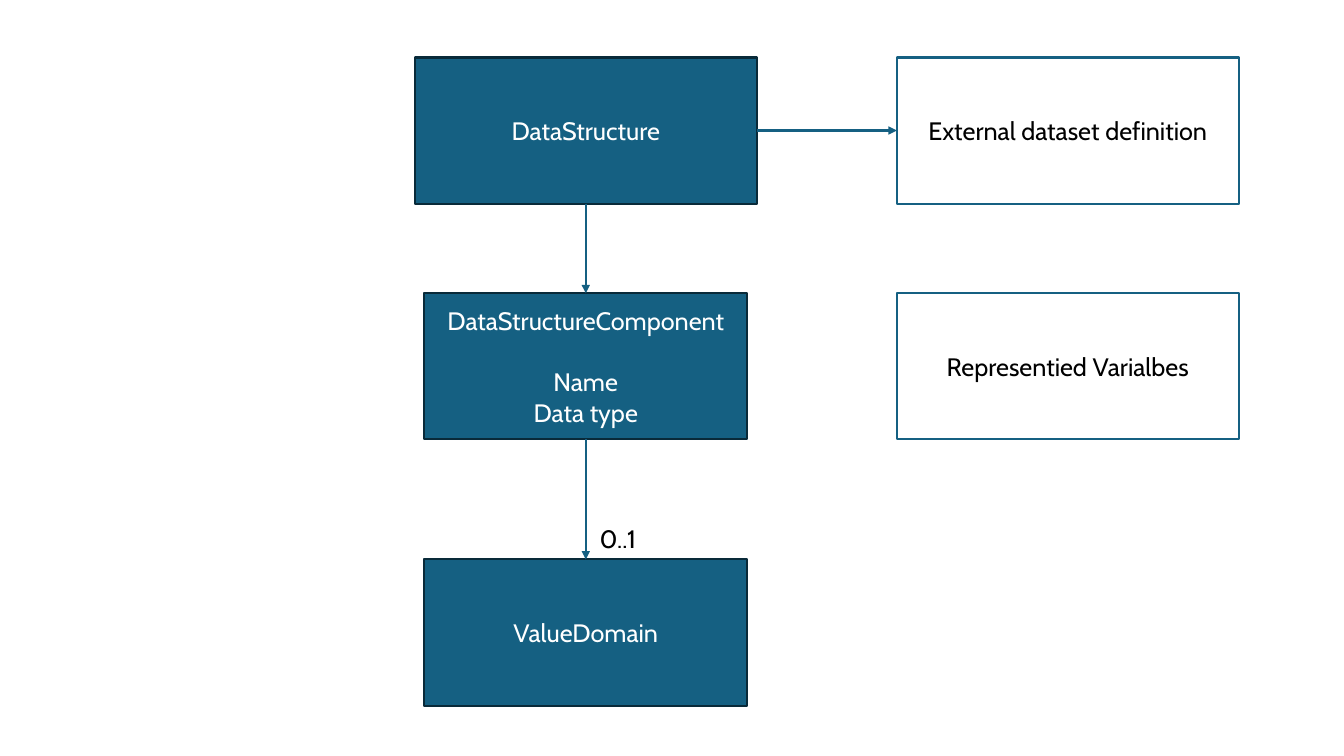
from dataclasses import dataclass

from lxml import etree
from pptx import Presentation
from pptx.dml.color import RGBColor
from pptx.enum.shapes import MSO_CONNECTOR, MSO_SHAPE
from pptx.enum.text import MSO_ANCHOR, MSO_AUTO_SIZE, PP_ALIGN
from pptx.oxml.ns import qn
from pptx.shapes.autoshape import Shape
from pptx.slide import Slide
from pptx.text.text import _Paragraph
from pptx.util import Inches, Pt

RECTANGLE = MSO_SHAPE.RECTANGLE
STRAIGHT = MSO_CONNECTOR.STRAIGHT
MIDDLE = MSO_ANCHOR.MIDDLE
FIT_SHAPE = MSO_AUTO_SIZE.SHAPE_TO_FIT_TEXT
LEFT, CENTER = PP_ALIGN.LEFT, PP_ALIGN.CENTER

TEAL, NAVY, WHITE, BLACK = "156082", "092A39", "FFFFFF", "000000"
FONT_FORMAT = {"name": "Cabin", "size": Pt(18)}
LINE_WIDTH = Pt(1.5)
BOX_HEIGHT = 1.45
MODEL_CENTER, SOURCE_CENTER = 5.81, 10.59
TOP_ROW, MIDDLE_ROW, BOTTOM_ROW = 0.57, 2.91, 5.55
TOP_SIDE, LEFT_SIDE, BOTTOM_SIDE, RIGHT_SIDE = range(4)


@dataclass(frozen=True)
class Style:
    fill: str
    line: str
    text: str


@dataclass(frozen=True)
class Box:
    heading: str
    center: float
    top: float
    width: float
    style: Style
    details: tuple[str, ...] = ()


@dataclass(frozen=True)
class Arrow:
    source: str
    source_side: int
    target: str
    target_side: int


MODEL = Style(TEAL, NAVY, WHITE)
SOURCE = Style(WHITE, TEAL, BLACK)

BOXES = (
    Box("DataStructure", MODEL_CENTER, TOP_ROW, 3.39, MODEL),
    Box("DataStructureComponent", MODEL_CENTER, MIDDLE_ROW, 3.2, MODEL, ("Name", "Data type")),
    Box("ValueDomain", MODEL_CENTER, BOTTOM_ROW, 3.2, MODEL),
    Box("External dataset definition", SOURCE_CENTER, TOP_ROW, 3.39, SOURCE),
    Box("Representied Varialbes", SOURCE_CENTER, MIDDLE_ROW, 3.39, SOURCE),
)

ARROWS = (
    Arrow("DataStructure", BOTTOM_SIDE, "DataStructureComponent", TOP_SIDE),
    Arrow("DataStructureComponent", BOTTOM_SIDE, "ValueDomain", TOP_SIDE),
    Arrow("DataStructure", RIGHT_SIDE, "External dataset definition", LEFT_SIDE),
)


def rgb(value: str) -> RGBColor:
    return RGBColor.from_string(value)


def write(paragraph: _Paragraph, text: str, color: str, alignment: PP_ALIGN) -> None:
    paragraph.alignment = alignment
    run = paragraph.add_run()
    run.text = text
    for attribute, value in FONT_FORMAT.items():
        setattr(run.font, attribute, value)
    run.font.color.rgb = rgb(color)


def draw_box(slide: Slide, box: Box) -> Shape:
    shape = slide.shapes.add_shape(
        RECTANGLE, Inches(box.center - box.width / 2), Inches(box.top),
        Inches(box.width), Inches(BOX_HEIGHT))
    shape.shadow.inherit = False
    shape.fill.solid()
    shape.fill.fore_color.rgb = rgb(box.style.fill)
    shape.line.color.rgb = rgb(box.style.line)
    shape.line.width = LINE_WIDTH
    frame = shape.text_frame
    frame.word_wrap = True
    frame.vertical_anchor = MIDDLE
    heading = frame.paragraphs[0]
    write(heading, box.heading, box.style.text, CENTER)
    if box.details:
        heading.space_after = Pt(22)
    for detail in box.details:
        write(frame.add_paragraph(), detail, box.style.text, CENTER)
    return shape


def draw_arrow(slide: Slide, arrow: Arrow, shapes: dict[str, Shape]) -> None:
    connector = slide.shapes.add_connector(STRAIGHT, 0, 0, 0, 0)
    connector.begin_connect(shapes[arrow.source], arrow.source_side)
    connector.end_connect(shapes[arrow.target], arrow.target_side)
    connector.line.color.rgb = rgb(TEAL)
    connector.line.width = LINE_WIDTH
    etree.SubElement(connector.line._get_or_add_ln(), qn("a:tailEnd"), type="triangle")
    etree.SubElement(connector._element.spPr, qn("a:effectLst"))


def draw_cardinality(slide: Slide) -> None:
    label = slide.shapes.add_textbox(Inches(5.85), Inches(5.14), Inches(0.76), Inches(0.4))
    frame = label.text_frame
    frame.word_wrap = True
    frame.auto_size = FIT_SHAPE
    write(frame.paragraphs[0], "0..1", BLACK, LEFT)


def main() -> None:
    presentation = Presentation()
    presentation.slide_width = Inches(13.33)
    presentation.slide_height = Inches(7.5)
    slide = presentation.slides.add_slide(presentation.slide_layouts[6])

    # Data model and its sources
    shapes = {box.heading: draw_box(slide, box) for box in BOXES}

    # Relations between the boxes
    for arrow in ARROWS:
        draw_arrow(slide, arrow, shapes)
    draw_cardinality(slide)

    presentation.save("out.pptx")


if __name__ == "__main__":
    main()
